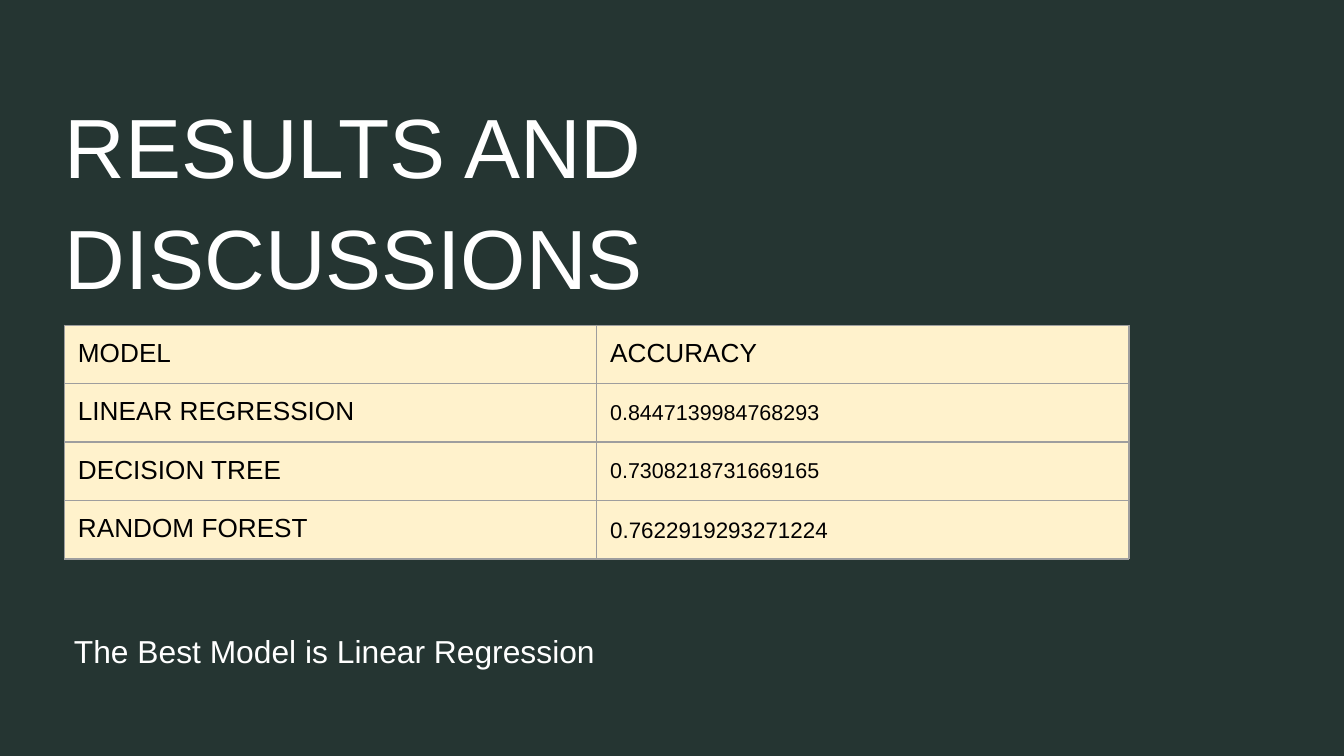
from typing import NamedTuple

from lxml.etree import SubElement
from pptx import Presentation
from pptx.dml.color import RGBColor
from pptx.enum.text import MSO_ANCHOR, PP_ALIGN
from pptx.oxml.ns import qn
from pptx.util import Pt

PX = 4572  # EMU per px, 200 px to the inch
FONT = "Arial"
DARK, WHITE, BLACK = "253532", "FFFFFF", "000000"
CREAM, GREY = "FFF2CC", "9E9E9E"


class Box(NamedTuple):
    left: int
    top: int
    width: int
    height: int

    def emu(self) -> list[int]:
        return [side * PX for side in self]


class Score(NamedTuple):
    model: str
    value: str
    size: float  # points, for the value


SCORES = [
    Score("MODEL", "ACCURACY", 14),
    Score("LINEAR REGRESSION", "0.8447139984768293", 11.5),
    Score("DECISION TREE", "0.7308218731669165", 11.5),
    Score("RANDOM FOREST", "0.7622919293271224", 12),
]


def color(code: str) -> RGBColor:
    return RGBColor.from_string(code)


def write(frame, text: str, size: float, ink: str, space: float = 1) -> None:
    frame.text = text
    para = frame.paragraphs[0]
    para.alignment = PP_ALIGN.LEFT
    para.line_spacing = space
    para.font.name = FONT
    para.font.size = Pt(size)
    para.font.color.rgb = color(ink)


def label(shape, text: str, size: float, space: float) -> None:
    frame = shape.text_frame
    frame.word_wrap = True
    frame.vertical_anchor = MSO_ANCHOR.TOP
    frame.margin_left = frame.margin_right = 0
    frame.margin_top = frame.margin_bottom = 0
    write(frame, text, size, WHITE, space)


def border(cell) -> None:
    props = cell._tc.get_or_add_tcPr()
    for i, side in enumerate(("a:lnL", "a:lnR", "a:lnT", "a:lnB")):
        line = props.makeelement(qn(side), {"w": str(Pt(0.75))})
        fill = SubElement(line, qn("a:solidFill"))
        SubElement(fill, qn("a:srgbClr"), val=GREY)
        props.insert(i, line)  # lines come before the fill


def style(cell, text: str, size: float, space: float) -> None:
    cell.margin_left = cell.margin_right = 20 * PX
    cell.margin_top = cell.margin_bottom = 20 * PX
    cell.fill.solid()
    cell.fill.fore_color.rgb = color(CREAM)
    write(cell.text_frame, text, size, BLACK, space)
    border(cell)


def grid(slide, box: Box, scores: list[Score]) -> None:
    table = slide.shapes.add_table(len(scores), 2, *box.emu()).table
    for i, score in enumerate(scores):
        style(table.cell(i, 0), score.model, 14, 1)
        style(table.cell(i, 1), score.value, score.size, 1.15 if i else 1)


def main() -> None:
    deck = Presentation()
    deck.slide_width, deck.slide_height = 2000 * PX, 1125 * PX
    slide = deck.slides.add_slide(deck.slide_layouts[5])
    back = slide.background.fill
    back.solid()
    back.fore_color.rgb = color(DARK)

    # Title
    title = slide.shapes.title
    title.left, title.top, title.width, title.height = Box(96, 126, 882, 318).emu()
    label(title, "RESULTS AND DISCUSSIONS", 45, 1.1)

    # Accuracy of each model
    grid(slide, Box(96, 484, 1584, 348), SCORES)

    # Conclusion
    note = slide.shapes.add_textbox(*Box(110, 918, 980, 58).emu())
    label(note, "The Best Model is Linear Regression", 17, 1.4)

    deck.save("out.pptx")


if __name__ == "__main__":
    main()
